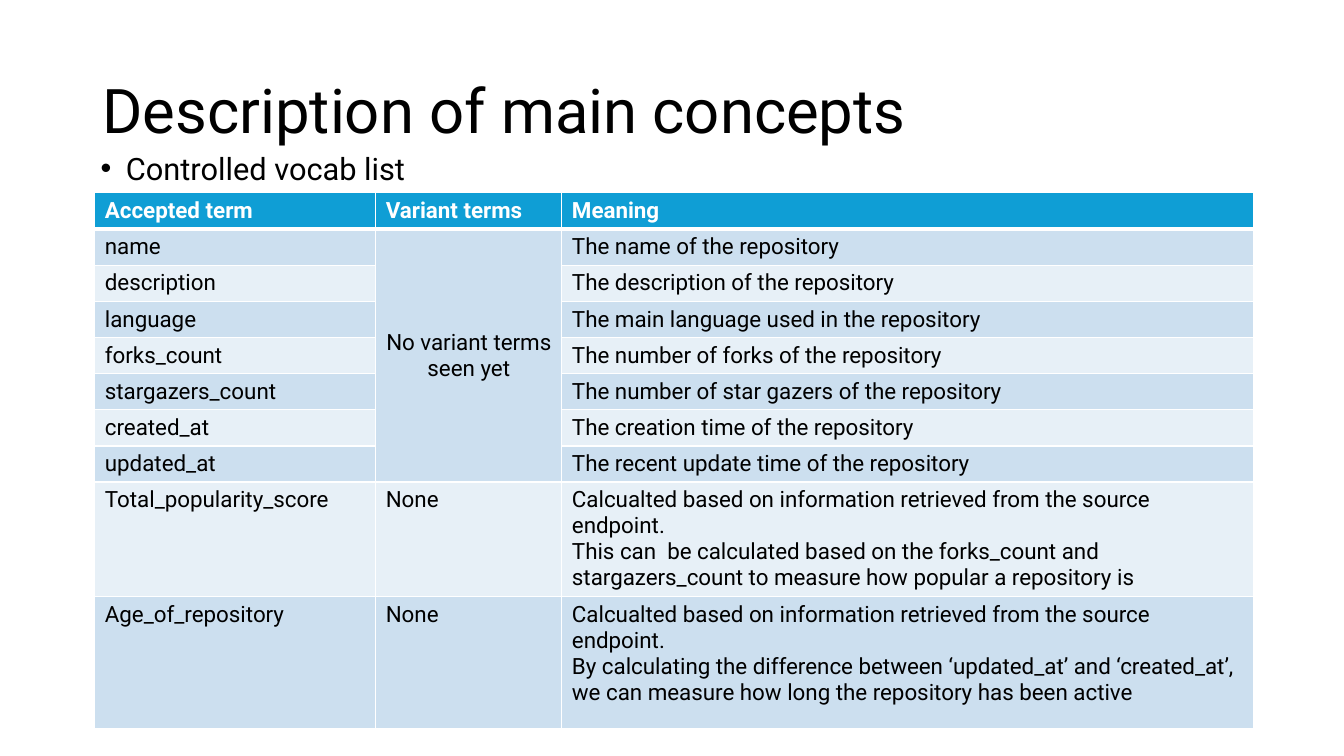
from lxml import etree
from pptx import Presentation
from pptx.dml.color import RGBColor
from pptx.enum.text import MSO_ANCHOR, MSO_AUTO_SIZE, PP_ALIGN
from pptx.oxml.ns import qn
from pptx.util import Cm, Pt

LEFT, CENTER = PP_ALIGN.LEFT, PP_ALIGN.CENTER
TOP, MIDDLE = MSO_ANCHOR.TOP, MSO_ANCHOR.MIDDLE
NO_AUTOFIT = MSO_AUTO_SIZE.NONE

FONT = "Roboto"
COLORS = {
    "text": "000000",
    "header_text": "FFFFFF",
    "border": "FFFFFF",
    "header": "0F9ED5",
    "odd_row": "CCDFEF",
    "even_row": "E7F0F7",
}

HEADERS = ["Accepted term", "Variant terms", "Meaning"]
NO_VARIANTS = "No variant terms seen yet"
RETRIEVED = "Calcualted based on information retrieved from the source endpoint."
PLAIN_TERMS = [
    ("name", "The name of the repository"),
    ("description", "The description of the repository"),
    ("language", "The main language used in the repository"),
    ("forks_count", "The number of forks of the repository"),
    ("stargazers_count", "The number of star gazers of the repository"),
    ("created_at", "The creation time of the repository"),
    ("updated_at", "The recent update time of the repository"),
]
DERIVED_TERMS = [
    ("Total_popularity_score",
     "This can  be calculated based on the forks_count and "
     "stargazers_count to measure how popular a repository is"),
    ("Age_of_repository",
     "By calculating the difference between ‘updated_at’ and ‘created_at’, "
     "we can measure how long the repository has been active"),
]
COLUMN_WIDTHS = [7.08, 4.69, 17.44]
ROW_HEIGHTS = [0.89] * (1 + len(PLAIN_TERMS)) + [2.72, 3.33]


def style_runs(paragraph, size, color="text", bold=False):
    for run in paragraph.runs:
        run.font.name = FONT
        run.font.size = Pt(size)
        run.font.bold = bold
        run.font.color.rgb = RGBColor.from_string(COLORS[color])


def fill_placeholder(placeholder, text, box, size, anchor):
    placeholder.left, placeholder.top, placeholder.width, placeholder.height = map(Cm, box)
    frame = placeholder.text_frame
    frame.text = text
    frame.auto_size = NO_AUTOFIT
    frame.vertical_anchor = anchor
    paragraph = frame.paragraphs[0]
    paragraph.alignment = LEFT
    paragraph.line_spacing = 0.9
    paragraph.space_before = Pt(0)
    style_runs(paragraph, size)
    return paragraph


def add_bullet(paragraph):
    properties = paragraph._p.get_or_add_pPr()
    properties.set("marL", str(Cm(0.64)))
    properties.set("indent", str(-Cm(0.64)))
    etree.SubElement(properties, qn("a:buFont")).set("typeface", "Arial")
    etree.SubElement(properties, qn("a:buChar")).set("char", "•")


def set_borders(cell, bottom_width):
    properties = cell._tc.get_or_add_tcPr()
    widths = {"a:lnL": 1, "a:lnR": 1, "a:lnT": 1, "a:lnB": bottom_width}
    # Border lines must precede the fill
    for position, (side, width) in enumerate(widths.items()):
        line = etree.Element(qn(side), w=str(Pt(width)))
        solid = etree.SubElement(line, qn("a:solidFill"))
        etree.SubElement(solid, qn("a:srgbClr")).set("val", COLORS["border"])
        properties.insert(position, line)


def style_cell(cell, text, row):
    is_header = row == 0
    background = "header" if is_header else "odd_row" if row % 2 else "even_row"
    cell.fill.solid()
    cell.fill.fore_color.rgb = RGBColor.from_string(COLORS[background])
    set_borders(cell, 3 if is_header else 1)
    cell.text_frame.text = text
    for paragraph in cell.text_frame.paragraphs:
        style_runs(paragraph, 16, "header_text" if is_header else "text", is_header)


def add_vocabulary_table(slide):
    rows = [HEADERS]
    rows += [(term, "", meaning) for term, meaning in PLAIN_TERMS]
    rows += [(term, "None", f"{RETRIEVED}\n{method}") for term, method in DERIVED_TERMS]
    vocabulary = slide.shapes.add_table(
        len(rows), len(HEADERS), Cm(2.39), Cm(4.86),
        Cm(sum(COLUMN_WIDTHS)), Cm(sum(ROW_HEIGHTS))).table
    for column, width in zip(vocabulary.columns, COLUMN_WIDTHS):
        column.width = Cm(width)
    for table_row, height in zip(vocabulary.rows, ROW_HEIGHTS):
        table_row.height = Cm(height)
    for row, texts in enumerate(rows):
        for column, text in enumerate(texts):
            style_cell(vocabulary.cell(row, column), text, row)

    # One shared note for all terms without variants
    variants = vocabulary.cell(1, 1)
    variants.merge(vocabulary.cell(len(PLAIN_TERMS), 1))
    variants.text_frame.text = NO_VARIANTS
    variants.vertical_anchor = MIDDLE
    note = variants.text_frame.paragraphs[0]
    note.alignment = CENTER
    style_runs(note, 16)


def main():
    presentation = Presentation()
    presentation.slide_width = Cm(33.87)
    presentation.slide_height = Cm(19.05)
    slide = presentation.slides.add_slide(presentation.slide_layouts[1])

    # Title and list
    fill_placeholder(slide.shapes.title, "Description of main concepts",
                     (2.33, 1.01, 29.21, 3.68), 44, MIDDLE)
    subtitle = fill_placeholder(slide.placeholders[1], "Controlled vocab list",
                                (2.28, 3.74, 29.21, 12.09), 22, TOP)
    add_bullet(subtitle)

    # Vocabulary
    add_vocabulary_table(slide)
    presentation.save("out.pptx")


if __name__ == "__main__":
    main()
